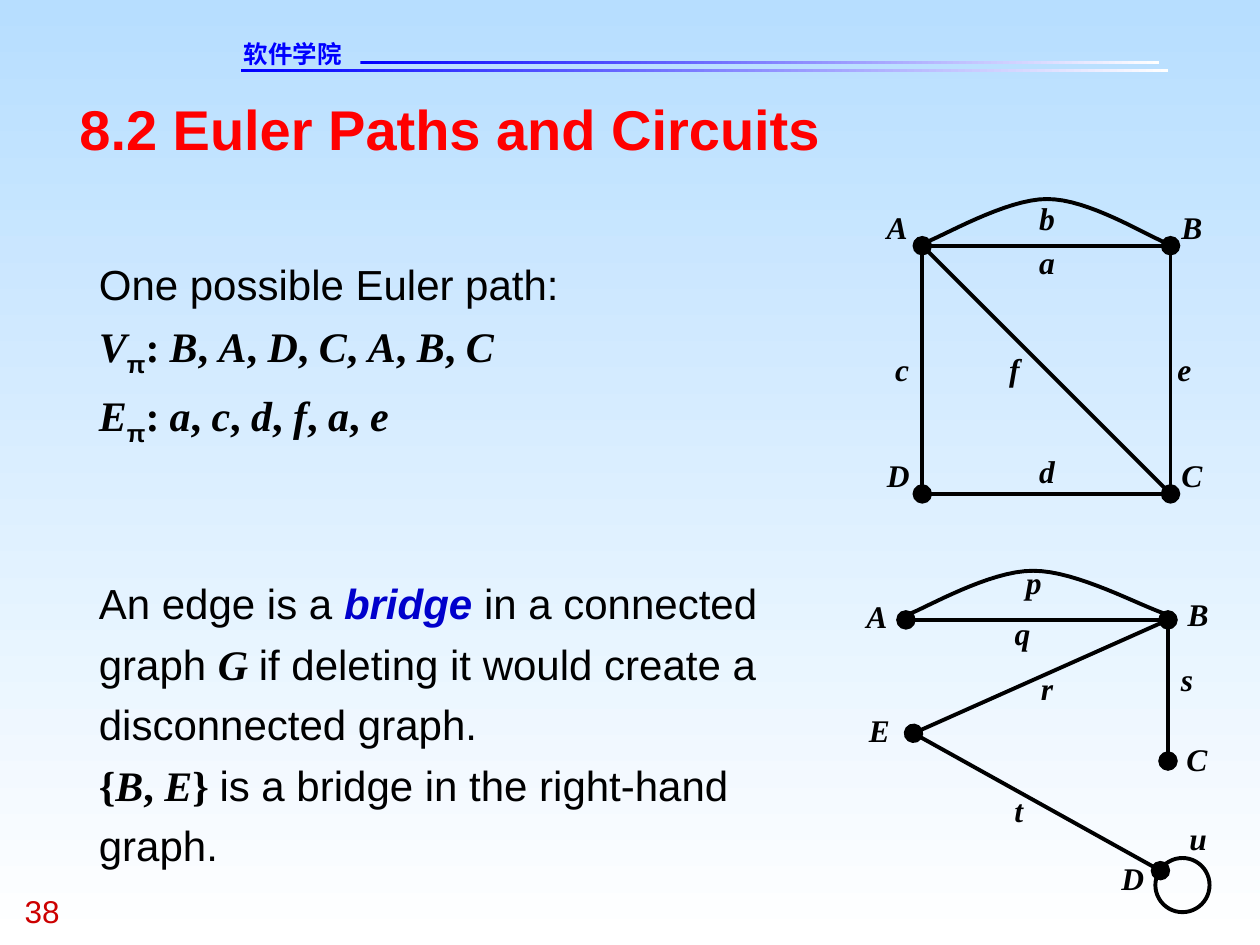
"""Build a slide on Euler paths and bridges with two labelled graphs."""
from lxml import etree
from pptx import Presentation
from pptx import util as u
from pptx.dml.color import RGBColor
from pptx.enum import shapes, text
from pptx.oxml import ns

THEME = {
    "sans": "Arial", "serif": "Times New Roman", "cjk": "DejaVu Sans",
    "black": "000000", "red": "FF0000", "number": "CC0000", "blue": "0000FF",
    "term": "0000CC", "white": "FFFFFF", "sky": "B7DEFF",
    "title": 32, "body": 24, "label": 18, "small": 14, "line": 2.25,
}
COLS, ROWS = 100, 75
WIDTH, HEIGHT = u.Inches(10), u.Inches(7.5)

STYLES = {
    "plain": {},
    "math": {"font": "serif", "bold": True, "italic": True},
    "mark": {"font": "serif", "bold": True},
    "sub": {"bold": True, "sub": True},
    "gap": {"font": "cjk", "size": "label"},
    "term": {"color": "term", "bold": True, "italic": True},
    "title": {"size": "title", "color": "red", "bold": True},
    "number": {"size": "label", "color": "number"},
    "school": {"font": "cjk", "size": "small", "color": "blue", "bold": True},
    "label": {"font": "serif", "size": "label", "bold": True, "italic": True},
}


def listing(names):
    runs = []
    for name in names:
        runs += [("math", name), ("mark", ", ")]
    return runs[:-1]


def path_line(symbol, names):
    return [("math", symbol), ("sub", "π"), ("mark", ":"), ("gap", " ")] + listing(names)


HEADINGS = [
    ((19.35, 3.1, 14.5, 2.3), "school", "软件学院"),
    ((6.3, 7.5, 87.5, 5.3), "title", "8.2 Euler Paths and Circuits"),
    ((1.95, 70.8, 7.5, 3), "number", "38"),
]
BARS = [(19.1, 5.5, 73.6, 0.2), (28.6, 4.85, 63.4, 0.22)]
BODY_BOX = (7.85, 19.75, 55, 49.2)
BODY = [
    (0, [("plain", "One possible Euler path:")]),
    (0, path_line("V", "BADCABC")),
    (0, path_line("E", "acdfae")),
    (69, [("plain", "An edge is a "), ("term", "bridge "),
          ("plain", "in a connected graph "), ("math", "G "),
          ("plain", "if deleting it would create a disconnected graph.")]),
    (0, [("mark", "{")] + listing("BE") + [("mark", "} "),
         ("plain", "is a bridge in the right-hand graph.")]),
]
LABEL_RISE = 0.2
GRAPHS = [
    {
        "nodes": {"A": (73.2, 19.5), "B": (92.9, 19.5), "C": (92.9, 39.2), "D": (73.2, 39.2)},
        "edges": [("AD", ""), ("CB", ""), ("AB", "both"), ("DC", "both"), ("CA", "")],
        "curve": [(73.1, 19.4), (74.8, 18.8), (79.8, 15.8), (83.1, 15.8),
                  (86.4, 15.8), (90.8, 18.6), (92.8, 19.4)],
        "labels": {"A": (71.2, 16.7), "B": (94.6, 16.7), "C": (94.6, 36.4), "D": (71.3, 36.4),
                   "a": (83.1, 19.5), "b": (83.1, 16), "c": (71.6, 28), "d": (83.1, 36.1),
                   "e": (94, 28), "f": (80.5, 28)},
        "loops": [],
    },
    {
        "nodes": {"A": (71.9, 49.2), "B": (92.7, 49.2), "C": (92.7, 60.4),
                  "D": (92.1, 69.1), "E": (72.5, 58.2)},
        "edges": [("ED", "tail"), ("EB", "head"), ("AB", "both"), ("BC", "tail")],
        "curve": [(72, 48.8), (73.6, 48.2), (78.5, 45.3), (82, 45.3),
                  (85.5, 45.3), (90.5, 48.1), (92.7, 48.8)],
        "labels": {"A": (69.6, 47.6), "B": (95.1, 47.4), "C": (95, 58.9), "D": (89.9, 68.4),
                   "E": (69.8, 56.6), "p": (82.05, 44.9), "q": (81.15, 48.9), "r": (83.1, 53.3),
                   "s": (94.2, 52.6), "t": (80.85, 63), "u": (95.1, 65.2)},
        "loops": [(91.7, 68.1, 4.3, 4.3)],
    },
]


def x(col):
    return round(WIDTH * col / COLS)


def y(row):
    return round(HEIGHT * row / ROWS)


def place(box):
    return x(box[0]), y(box[1]), x(box[2]), y(box[3])


def rgb(key):
    return RGBColor.from_string(THEME[key])


def gradient(fill, start, end, angle):
    fill.gradient()
    fill.gradient_angle = angle
    for stop, key in zip(fill.gradient_stops, (start, end)):
        stop.color.rgb = rgb(key)


def outline(line):
    line.color.rgb = rgb("black")
    line.width = u.Pt(THEME["line"])


def add_text(parent, box, paragraphs, align=text.PP_ALIGN.LEFT, spacing=None):
    tf = parent.add_textbox(*place(box)).text_frame
    tf.word_wrap = True
    tf.margin_left = tf.margin_top = tf.margin_right = tf.margin_bottom = 0
    for i, (before, runs) in enumerate(paragraphs):
        p = tf.add_paragraph() if i else tf.paragraphs[0]
        p.alignment = align
        if spacing:
            p.line_spacing = spacing
        if before:
            p.space_before = u.Pt(before)
        for style, words in runs:
            look = STYLES[style]
            r = p.add_run()
            r.text = words
            r.font.name = THEME[look.get("font", "sans")]
            r.font.size = u.Pt(THEME[look.get("size", "body")])
            r.font.color.rgb = rgb(look.get("color", "black"))
            r.font.bold = look.get("bold", False)
            r.font.italic = look.get("italic", False)
            if look.get("sub"):
                r.font._element.set("baseline", "-25000")


def add_edge(parent, start, end, dots):
    c = parent.add_connector(shapes.MSO_CONNECTOR.STRAIGHT,
                             x(start[0]), y(start[1]), x(end[0]), y(end[1]))
    outline(c.line)
    for side in ("head", "tail"):
        if dots in (side, "both"):
            etree.SubElement(c.line._get_or_add_ln(), ns.qn(f"a:{side}End"),
                             type="oval", w="lg", len="lg")
    etree.SubElement(c._element.spPr, ns.qn("a:effectLst"))


def bezier(points, steps=16):
    found = [points[0]]
    for i in range(0, len(points) - 1, 3):
        for t in (k / steps for k in range(1, steps + 1)):
            weights = ((1 - t) ** 3, 3 * t * (1 - t) ** 2, 3 * t * t * (1 - t), t ** 3)
            found.append(tuple(sum(w * p[axis] for w, p in zip(weights, points[i:i + 4]))
                               for axis in (0, 1)))
    return [(x(col), y(row)) for col, row in found]


def finish_outline(sp):
    sp.shadow.inherit = False
    sp.fill.background()
    outline(sp.line)


def add_graph(s, graph):
    parent = s.shapes.add_group_shape().shapes
    nodes = graph["nodes"]
    for (start, end), dots in graph["edges"]:
        add_edge(parent, nodes[start], nodes[end], dots)
    points = bezier(graph["curve"])
    builder = parent.build_freeform(*points[0])
    builder.add_line_segments(points[1:], close=False)
    finish_outline(builder.convert_to_shape())
    for box in graph["loops"]:
        finish_outline(parent.add_shape(shapes.MSO_SHAPE.OVAL, *place(box)))
    for name, (col, row) in graph["labels"].items():
        add_text(parent, (col - 1.5, row - LABEL_RISE, 3, 3), [(0, [("label", name)])],
                 text.PP_ALIGN.CENTER)


def main():
    prs = Presentation()
    prs.slide_width, prs.slide_height = WIDTH, HEIGHT
    s = prs.slides.add_slide(prs.slide_layouts[6])
    gradient(s.background.fill, "sky", "white", 270)
    for box in BARS:
        sp = s.shapes.add_shape(shapes.MSO_SHAPE.RECTANGLE, *place(box))
        sp.shadow.inherit = False
        sp.line.fill.background()
        gradient(sp.fill, "blue", "white", 0)
    for box, style, words in HEADINGS:
        add_text(s.shapes, box, [(0, [(style, words)])])
    add_text(s.shapes, BODY_BOX, BODY, spacing=1.2)
    for graph in GRAPHS:
        add_graph(s, graph)
    prs.save("out.pptx")


if __name__ == "__main__":
    main()
